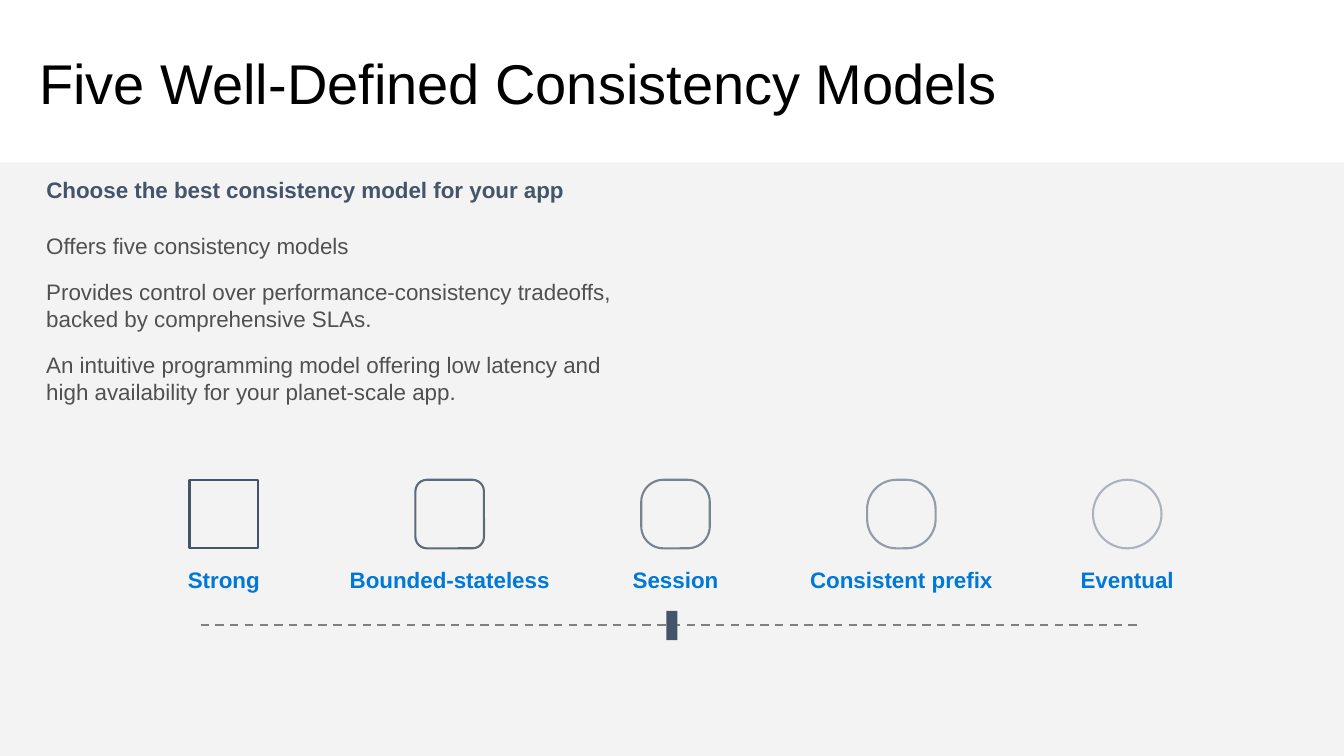
from lxml import etree
from pptx import Presentation
from pptx.dml.color import RGBColor
from pptx.enum.dml import MSO_LINE
from pptx.enum.shapes import MSO_CONNECTOR, MSO_SHAPE
from pptx.enum.text import MSO_ANCHOR, MSO_AUTO_SIZE, PP_ALIGN
from pptx.oxml.ns import qn
from pptx.util import Inches, Pt

RECT, ROUND, OVAL = MSO_SHAPE.RECTANGLE, MSO_SHAPE.ROUNDED_RECTANGLE, MSO_SHAPE.OVAL
STRAIGHT, DASH = MSO_CONNECTOR.STRAIGHT, MSO_LINE.DASH
LEFT, CENTER = PP_ALIGN.LEFT, PP_ALIGN.CENTER
TOP, MIDDLE = MSO_ANCHOR.TOP, MSO_ANCHOR.MIDDLE
FIT_NONE, FIT_SHAPE = MSO_AUTO_SIZE.NONE, MSO_AUTO_SIZE.SHAPE_TO_FIT_TEXT

FONT = "Arial"
COLORS = {
    "panel": "F2F2F2", "icon": "F3F3F3", "slate": "44546A", "blue": "0078D7",
    "axis": "808080", "title": "000000", "body": "505050",
}
WIDTH, HEIGHT = 13.33, 7.5
PANEL_TOP = 1.61
FIRST_CENTER, COLUMN = 2.22, 2.24
ICON_TOP, ICON_SIZE = 4.76, 0.68
LABEL_TOP, LABEL_HEIGHT = 5.57, 0.37
AXIS_Y = 6.2

MODELS = [
    ("Strong", RECT, None, 100, 0.72),
    ("Bounded-stateless", ROUND, 0.167, 85, 2.01),
    ("Session", ROUND, 0.322, 70, 0.86),
    ("Consistent prefix", ROUND, 0.427, 55, 1.83),
    ("Eventual", OVAL, None, 40, 0.93),
]
BENEFITS = [
    "Offers five consistency models",
    "Provides control over performance-consistency tradeoffs, backed by comprehensive SLAs.",
    "An intuitive programming model offering low latency and high availability for your planet-scale app.",
]


def rgb(name):
    return RGBColor.from_string(COLORS[name])


def box(*lengths):
    return [Inches(v) for v in lengths]


def set_opacity(fill_parent, percent):
    clr = next(fill_parent.iter(qn("a:srgbClr")))
    etree.SubElement(clr, qn("a:alpha")).set("val", str(percent * 1000))


def add_block(s, kind, at, fill):
    sp = s.shapes.add_shape(kind, *box(*at))
    sp.shadow.inherit = False
    sp.fill.solid()
    sp.fill.fore_color.rgb = rgb(fill)
    sp.line.fill.background()
    return sp


def write(tf, lines, size, color, bold=False, align=LEFT, before=0, spacing=1.0):
    tf.text = "\n".join(lines)
    for p in tf.paragraphs:
        p.alignment = align
        p.space_before = Pt(before)
        p.line_spacing = spacing
        for r in p.runs:
            r.font.name = FONT
            r.font.size = Pt(size)
            r.font.bold = bold
            r.font.color.rgb = rgb(color)


def place(s, sp, at, anchor):
    sp.left, sp.top, sp.width, sp.height = box(*at)
    tf = sp.text_frame
    tf.word_wrap = True
    tf.auto_size = FIT_NONE
    tf.vertical_anchor = anchor
    s.shapes.element.append(sp.element)
    return tf


def remove_bullet(p):
    pPr = p._p.get_or_add_pPr()
    pPr.set("marL", "0")
    pPr.set("indent", "0")
    etree.SubElement(pPr, qn("a:buNone"))


def add_model(s, center, name, kind, corner, opacity, label_width):
    at = (center - ICON_SIZE / 2, ICON_TOP, ICON_SIZE, ICON_SIZE)
    icon = add_block(s, kind, at, "icon")
    if corner is not None:
        icon.adjustments[0] = corner
    icon.line.color.rgb = rgb("slate")
    icon.line.width = Pt(1.5)
    if opacity < 100:
        set_opacity(icon.element.spPr.find(qn("a:ln")), opacity)

    label = s.shapes.add_textbox(*box(center - label_width / 2, LABEL_TOP, label_width, LABEL_HEIGHT))
    tf = label.text_frame
    tf.word_wrap = False
    tf.auto_size = FIT_SHAPE
    tf.margin_left = tf.margin_right = 0
    write(tf, [name], 16, "blue", bold=True, align=CENTER)


def add_scale(s):
    axis = s.shapes.add_connector(STRAIGHT, *box(1.99, AXIS_Y, 11.33, AXIS_Y))
    axis.line.color.rgb = rgb("axis")
    axis.line.width = Pt(1.5)
    axis.line.dash_style = DASH
    etree.SubElement(axis.element.spPr, qn("a:effectLst"))
    add_block(s, RECT, (6.61, AXIS_Y - 0.14, 0.11, 0.29), "slate")


def add_benefits(s):
    sp = s.shapes.add_textbox(*box(0.36, 2.25, 6.15, 2.37))
    sp.text_frame.word_wrap = True
    write(sp.text_frame, BENEFITS, 16, "body", before=14)


def main():
    prs = Presentation()
    prs.slide_width, prs.slide_height = box(WIDTH, HEIGHT)
    s = prs.slides.add_slide(prs.slide_layouts[1])
    title, body = s.shapes.title, s.placeholders[1]

    panel = add_block(s, RECT, (0, PANEL_TOP, WIDTH, HEIGHT - PANEL_TOP), "panel")
    set_opacity(panel.element.spPr, 89)
    for i, model in enumerate(MODELS):
        add_model(s, FIRST_CENTER + i * COLUMN, *model)
    add_scale(s)

    tf = place(s, title, (0.29, 0.37, 12.75, 0.98), MIDDLE)
    write(tf, ["Five Well-Defined Consistency Models"], 40, "title", spacing=0.9)
    tf = place(s, body, (0.36, 1.73, 12.75, 0.7), TOP)
    write(tf, ["Choose the best consistency model for your app"], 16, "slate",
          bold=True, before=10, spacing=0.9)
    remove_bullet(tf.paragraphs[0])
    add_benefits(s)

    prs.save("out.pptx")


if __name__ == "__main__":
    main()
